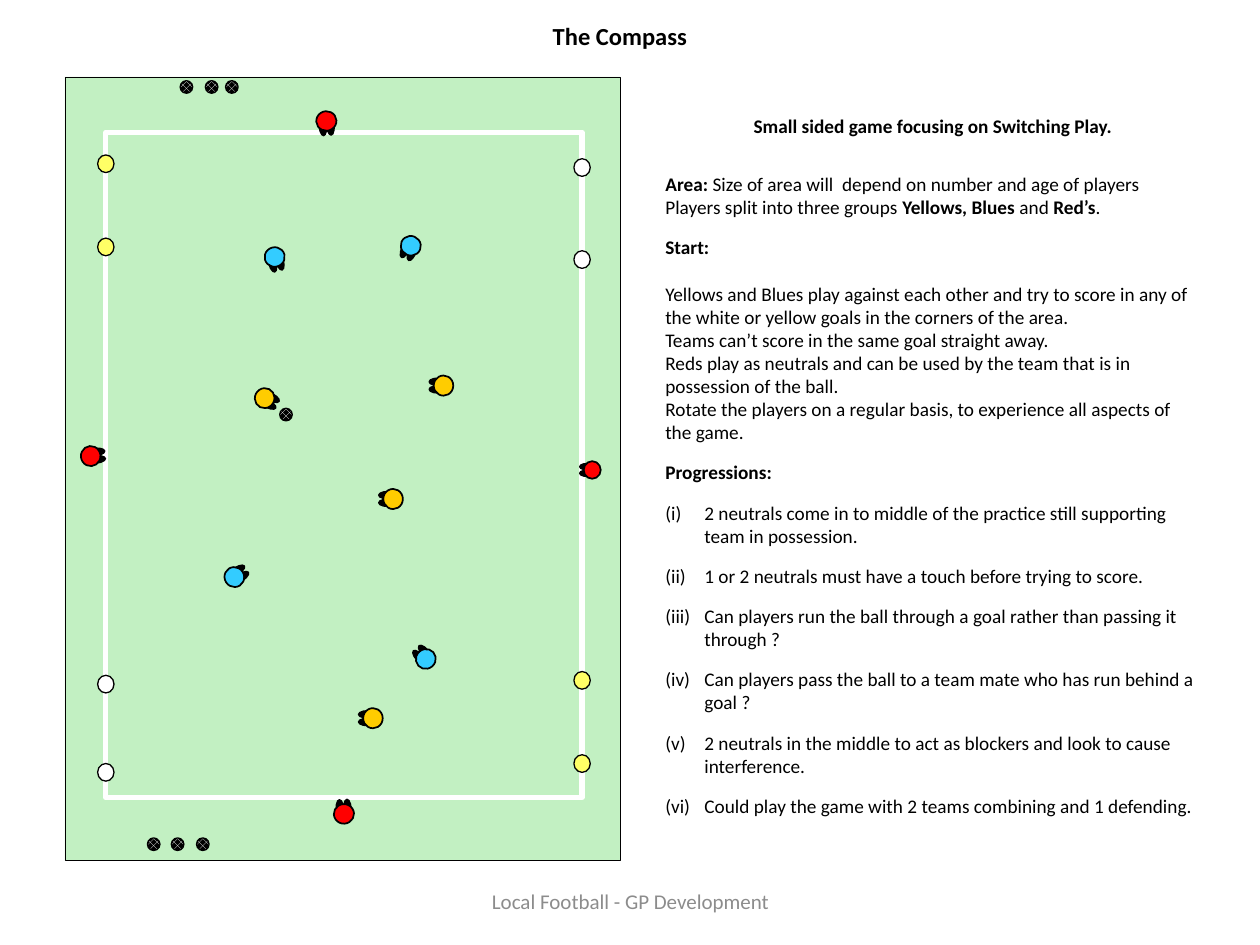
from math import cos, radians, sin

from lxml.etree import SubElement
from pptx import Presentation
from pptx.dml.color import RGBColor
from pptx.enum.dml import MSO_PATTERN
from pptx.enum.shapes import MSO_SHAPE
from pptx.enum.text import MSO_ANCHOR, MSO_AUTO_SIZE, PP_ALIGN
from pptx.oxml.ns import qn
from pptx.util import Inches, Pt

THEME = {
    "font": "Calibri", "title": 14, "body": 11, "footer": 12,
    "black": "000000", "white": "FFFFFF", "grey": "8C8C8C", "grass": "C2F0C2",
    "cone": "FFFF66", "yellow": "FFCC00", "blue": "33CCFF", "red": "FF0000",
}

prs = Presentation()
prs.slide_width, prs.slide_height = Inches(10), Inches(7.5)
s = prs.slides.add_slide(prs.slide_layouts[1])
CELL = prs.slide_width / 100


def write(p, text, size="body", color="black", align=PP_ALIGN.LEFT, gap=0, bold=False):
    p.alignment = align
    p.space_before, p.space_after = Pt(gap), Pt(0)
    for i, part in enumerate(text.split("*")):
        if part:
            r = p.add_run()
            r.text = part
            r.font.name, r.font.size = THEME["font"], Pt(THEME[size])
            r.font.bold = bold or i % 2 == 1
            r.font.color.rgb = RGBColor.from_string(THEME[color])


def mark(parent, kind, cx, cy, w, h, fill=None, line="black", weight=0.75, rot=0):
    box = [round(v * CELL) for v in (cx - w / 2, cy - h / 2, w, h)]
    sp = parent.shapes.add_shape(kind, *box)
    sp.shadow.inherit = False
    sp.rotation = rot
    sp.line.color.rgb = RGBColor.from_string(THEME[line])
    sp.line.width = Pt(weight)
    if fill == "ball":
        sp.fill.patterned()
        sp.fill.pattern = MSO_PATTERN.SOLID_DIAMOND
        sp.fill.fore_color.rgb = RGBColor.from_string(THEME["white"])
        sp.fill.back_color.rgb = RGBColor.from_string(THEME["black"])
    elif fill:
        sp.fill.solid()
        sp.fill.fore_color.rgb = RGBColor.from_string(THEME[fill])
    else:
        sp.fill.background()


RECT, OVAL = MSO_SHAPE.RECTANGLE, MSO_SHAPE.OVAL
mark(s, RECT, 27.2, 37.2, 44.1, 62.2, "grass", weight=0.25)
mark(s, RECT, 27.3, 36.9, 37.8, 52.8, line="white", weight=3)

LEFT, RIGHT = 8.4, 46.2
for x, color, rows in [
    (RIGHT, "cone", (54, 60.6)),
    (RIGHT, "white", (20.6, 13.3)),
    (LEFT, "white", (61.3, 54.3)),
    (LEFT, "cone", (13, 19.6)),
]:
    for y in rows:
        mark(s, OVAL, x, y, 1.3, 1.4, color)

players = [
    ("yellow", 29.6, 57, 270, 1),
    ("blue", 33.8, 52.3, 318, 1),
    ("red", 7.2, 36.2, 85, 1),
    ("yellow", 31.2, 39.6, 270, 1),
    ("blue", 21.8, 20.4, 165, 1),
    ("red", 47, 37.3, 270, 0.87),
    ("blue", 32.6, 19.5, 203, 1),
    ("blue", 18.6, 45.8, 57, 1),
    ("yellow", 35.2, 30.6, 270, 1),
    ("yellow", 21, 31.6, 117, 1),
    ("red", 25.9, 9.6, 176, 1),
    ("red", 27.3, 64.6, 357, 1),
]
for color, x, y, turn, scale in players:
    group = s.shapes.add_group_shape()
    dx, dy = sin(radians(turn)) * scale, -cos(radians(turn)) * scale
    for side in (-0.3, 0.3):
        mark(group, OVAL, x + 0.4 * dx - side * dy, y + 0.4 * dy + side * dx,
             0.6 * scale, 1.5 * scale, "black", rot=turn)
    mark(group, OVAL, x, y, 1.6 * scale, 1.55 * scale, color, weight=1, rot=turn)

for y, columns in [(32.9, (22.7,)), (6.9, (18.4, 16.8, 14.8)), (67, (16.1, 14.1, 12.2))]:
    for x in columns:
        mark(s, OVAL, x, y, 1, 1, "ball", rot=270)

title, body = s.shapes.title, s.placeholders[1]
footer = s.shapes.add_textbox(0, 0, 0, 0)
for sp, box, inset, anchor in [
    (title, (17.7, 1.3, 63, 3.9), (0.4, 0.4), MSO_ANCHOR.TOP),
    (body, (52.4, 6.8, 43.3, 63), (0.4, 2.3), MSO_ANCHOR.TOP),
    (footer, (34.2, 69.5, 31.7, 4), (1, 0.5), MSO_ANCHOR.MIDDLE),
]:
    sp.left, sp.top, sp.width, sp.height = [round(v * CELL) for v in box]
    tf = sp.text_frame
    tf.word_wrap, tf.auto_size, tf.vertical_anchor = True, MSO_AUTO_SIZE.NONE, anchor
    tf.margin_left = tf.margin_right = round(inset[0] * CELL)
    tf.margin_top, tf.margin_bottom = round(inset[1] * CELL), round(0.4 * CELL)

write(title.text_frame.paragraphs[0], "The Compass", size="title", align=PP_ALIGN.CENTER, bold=True)
write(footer.text_frame.paragraphs[0], "Local Football - GP Development",
      size="footer", color="grey", align=PP_ALIGN.CENTER)

GAP = 9.75
notes = [
    ("*Small sided game focusing on Switching Play.*", 0),
    ("*Area: *Size of area will  depend on number and age of players", 2 * GAP),
    ("Players split into three groups *Yellows, Blues* and *Red’s*.", 0),
    ("*Start:*", GAP),
    ("Yellows and Blues play against each other and try to score in any of "
     "the white or yellow goals in the corners of the area.", 13.4),
    ("Teams can’t score in the same goal straight away.", 0),
    ("Reds play as neutrals and can be used by the team that is in possession of the ball.", 0),
    ("Rotate the players on a regular basis, to experience all aspects of the game.", 0),
    ("*Progressions:*", GAP),
]
steps = [
    "2 neutrals come in to middle of the practice still supporting team in possession.",
    "1 or 2 neutrals must have a touch before trying to score.",
    "Can players run the ball through a goal rather than passing it through ?",
    "Can players pass the ball to a team mate who has run behind a goal ?",
    "2 neutrals in the middle to act as blockers and look to cause interference.",
    "Could play the game with 2 teams combining and 1 defending.",
]
tf = body.text_frame
for i, (text, gap) in enumerate(notes + [(step, GAP) for step in steps]):
    p = tf.add_paragraph() if i else tf.paragraphs[0]
    write(p, text, gap=gap, align=PP_ALIGN.LEFT if i else PP_ALIGN.CENTER)
    pPr = p._p.get_or_add_pPr()
    indent = Inches(0.31) if i >= len(notes) else 0
    pPr.set("marL", str(indent))
    pPr.set("indent", str(-indent))
    if indent:
        SubElement(pPr, qn("a:buFont"), typeface=THEME["font"])
        SubElement(pPr, qn("a:buAutoNum"), type="romanLcParenBoth")
    else:
        SubElement(pPr, qn("a:buNone"))

prs.save("out.pptx")
